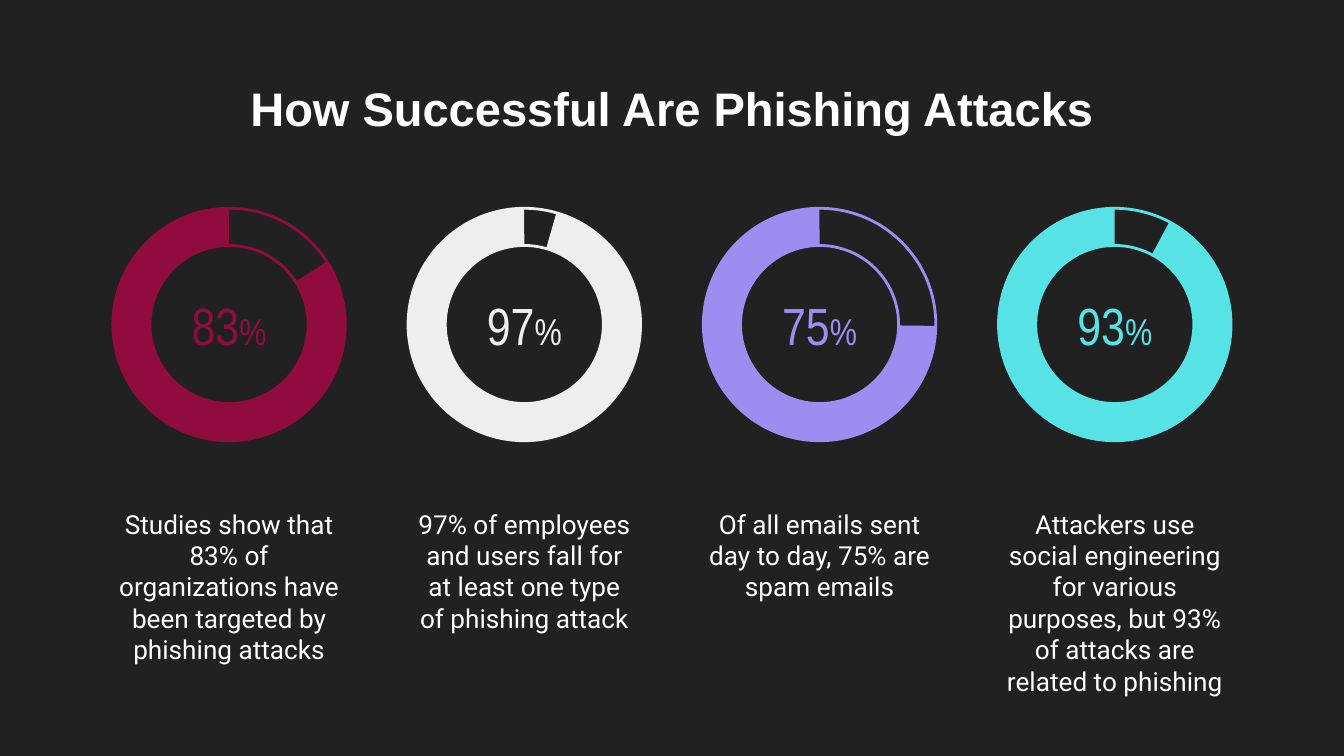
from pptx import Presentation
from pptx import util as u
from pptx.dml.color import RGBColor
from pptx.enum import shapes, text

WIDTH = 10
HEIGHT = WIDTH * 9 / 16
BACKGROUND, WHITE = "212121", "FFFFFF"
TITLE = "How Successful Are Phishing Attacks"
# percentage, colour, angle where the filled arc starts (degrees), caption
STATS = [
    ("83", "900C3F", 327.22,
     "Studies show that 83% of organizations have been targeted by phishing attacks"),
    ("97", "EEEEEE", 286.03,
     "97% of employees and users fall for at least one type of phishing attack"),
    ("75", "9D8DF1", 0.68,
     "Of all emails sent day to day, 75% are spam emails"),
    ("93", "57E2E5", 298.01,
     "Attackers use social engineering for various purposes, but 93% of attacks "
     "are related to phishing"),
]
FIRST_LEFT, LAST_LEFT = 0.84, 7.43
PITCH = (LAST_LEFT - FIRST_LEFT) / (len(STATS) - 1)
RING_TOP, RING_SIZE, RING_BAND = 1.55, 1.73, 0.16
NUMBER_WIDTH, CAPTION_WIDTH = 0.89, 1.85
ARC_END = 269.97
ANGLE_UNIT = 0.6  # adjustment value for one degree


def colour(value):
    return RGBColor.from_string(value)


def add_text(page, spans, left, top, width, height, font, fill, bold=False,
             anchor=text.MSO_ANCHOR.TOP):
    """Add a centred text box from (text, size) spans."""
    box = page.shapes.add_textbox(*map(u.Inches, (left, top, width, height)))
    frame = box.text_frame
    frame.word_wrap = True
    frame.vertical_anchor = anchor
    frame.margin_left = frame.margin_right = u.Inches(0.1)
    frame.margin_top = frame.margin_bottom = u.Inches(0.1)
    para = frame.paragraphs[0]
    para.alignment = text.PP_ALIGN.CENTER
    for words, size in spans:
        span = para.add_run()
        span.text = words
        span.font.name = font
        span.font.size = u.Pt(size)
        span.font.bold = bold
        span.font.color.rgb = colour(fill)


def add_ring(page, left, fill, start):
    """Add an outlined ring with a filled arc over it, as one group."""
    group = page.shapes.add_group_shape()
    place = [u.Inches(v) for v in (left, RING_TOP, RING_SIZE, RING_SIZE)]

    outline = group.shapes.add_shape(shapes.MSO_SHAPE.DONUT, *place)
    outline.shadow.inherit = False
    outline.adjustments[0] = RING_BAND
    outline.fill.background()
    outline.line.color.rgb = colour(fill)
    outline.line.width = u.Pt(1.5)

    arc = group.shapes.add_shape(shapes.MSO_SHAPE.BLOCK_ARC, *place)
    arc.shadow.inherit = False
    for index, value in enumerate((start * ANGLE_UNIT, ARC_END * ANGLE_UNIT, RING_BAND)):
        arc.adjustments[index] = value
    arc.fill.solid()
    arc.fill.fore_color.rgb = colour(fill)
    arc.line.fill.background()


def main():
    deck = Presentation()
    deck.slide_width, deck.slide_height = u.Inches(WIDTH), u.Inches(HEIGHT)
    page = deck.slides.add_slide(deck.slide_layouts[6])
    page.background.fill.solid()
    page.background.fill.fore_color.rgb = colour(BACKGROUND)

    lefts = [FIRST_LEFT + column * PITCH for column in range(len(STATS))]
    for left, (number, fill, start, _) in zip(lefts, STATS):
        add_ring(page, left, fill, start)
        add_text(page, [(number, 28), ("%", 20)],
                 left + (RING_SIZE - NUMBER_WIDTH) / 2, 2.22, NUMBER_WIDTH, 0.39,
                 "Arial Narrow", fill, anchor=text.MSO_ANCHOR.MIDDLE)
    for left, (*_, caption) in zip(lefts, STATS):
        add_text(page, [(caption, 14)],
                 left + (RING_SIZE - CAPTION_WIDTH) / 2, 3.68, CAPTION_WIDTH, 1.05,
                 "Roboto", WHITE)
    add_text(page, [(TITLE, 25.2)], 0.34, 0.49, 9.32, 0.63, "Arial", WHITE, bold=True)
    deck.save("out.pptx")


if __name__ == "__main__":
    main()
